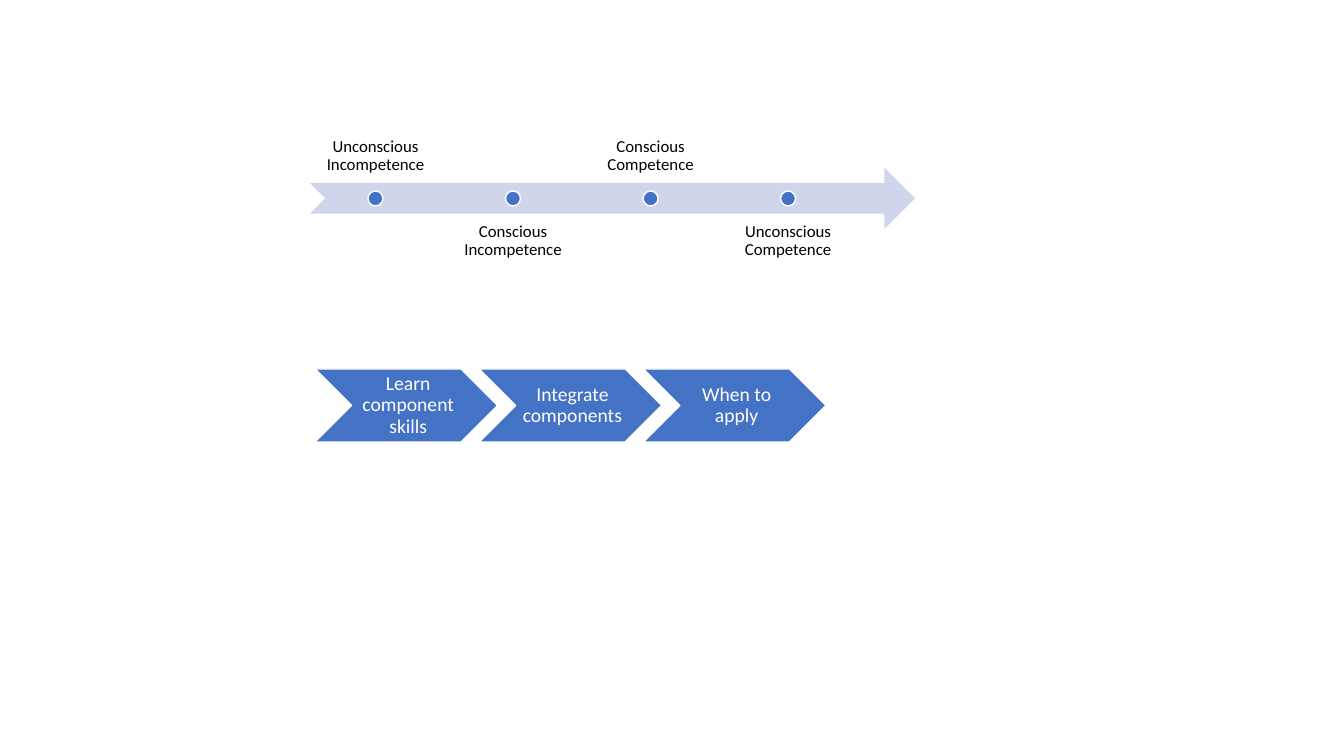
import pptx
import pptx.dml.color
import pptx.enum.shapes
import pptx.enum.text
import pptx.util

SHAPE = pptx.enum.shapes.MSO_SHAPE
ANCHOR = pptx.enum.text.MSO_ANCHOR
EMU_PER_PIXEL = 914400 / 100.8
BLUE, PALE, WHITE, BLACK = "4472C4", "CFD5EA", "FFFFFF", "000000"

STAGES = ["Unconscious Incompetence", "Conscious Incompetence",
          "Conscious Competence", "Unconscious Competence"]
STEPS = ["Learn component skills", "Integrate components", "When to apply"]


def px(length):
    """Turn pixels into EMU."""
    return pptx.util.Emu(round(length * EMU_PER_PIXEL))


def color(value):
    """Turn a hex string into a colour."""
    return pptx.dml.color.RGBColor.from_string(value)


def write(shape, text, size, fill, anchor, insets):
    """Write one centred paragraph into a shape."""
    frame = shape.text_frame
    frame.word_wrap = True
    frame.vertical_anchor = anchor
    (frame.margin_left, frame.margin_top,
     frame.margin_right, frame.margin_bottom) = map(px, insets)
    para = frame.paragraphs[0]
    para.alignment = pptx.enum.text.PP_ALIGN.CENTER
    para.line_spacing = 0.9
    span = para.add_run()
    span.text = text
    span.font.name = "Calibri"
    span.font.size = pptx.util.Pt(size)
    span.font.color.rgb = color(fill)


def draw(group, kind, box, fill, line=None):
    """Add a filled preset shape, outlined if a line colour is given."""
    shape = group.shapes.add_shape(kind, *map(px, box))
    shape.shadow.inherit = False
    shape.fill.solid()
    shape.fill.fore_color.rgb = color(fill)
    if line:
        shape.line.color.rgb = color(line)
        shape.line.width = pptx.util.Pt(1)
    else:
        shape.line.fill.background()
    return shape


def add_timeline(page, box, stages):
    """Draw an arrow with dots and labels alternating above and below."""
    left, top, width, height = box
    group = page.shapes.add_group_shape()
    draw(group, SHAPE.NOTCHED_RIGHT_ARROW, box, PALE)
    label_width, dot = 131, 15
    pitch = label_width * 1.05
    for index, stage in enumerate(stages):
        label_left = left + index * pitch
        above = index % 2 == 0
        label_top = top + height * (-0.75 if above else 0.75)
        label = group.shapes.add_textbox(
            *map(px, (label_left, label_top, label_width, height)))
        write(label, stage, 12, BLACK,
              ANCHOR.BOTTOM if above else ANCHOR.TOP, (9, 9, 9, 9))
        draw(group, SHAPE.OVAL,
             (label_left + (label_width - dot) / 2,
              top + (height - dot) / 2, dot, dot), BLUE, WHITE)


def add_process(page, box, steps):
    """Draw a row of chevrons, each overlapping the next by a tenth."""
    left, top, width, height = box
    group = page.shapes.add_group_shape()
    step_width = width / (1 + 0.9 * (len(steps) - 1))
    for index, step in enumerate(steps):
        chevron = draw(group, SHAPE.CHEVRON,
                       (left + index * 0.9 * step_width, top,
                        step_width, height), BLUE, WHITE)
        write(chevron, step, 14, WHITE, ANCHOR.MIDDLE, (6, 2, 2, 2))


def main():
    """Build the slide and save the deck."""
    deck = pptx.Presentation()
    deck.slide_width, deck.slide_height = px(1344), px(756)
    page = deck.slides.add_slide(deck.slide_layouts[6])
    add_timeline(page, (310, 168, 605, 61), STAGES)
    add_process(page, (315, 369, 511, 73), STEPS)
    deck.save("out.pptx")


main()
